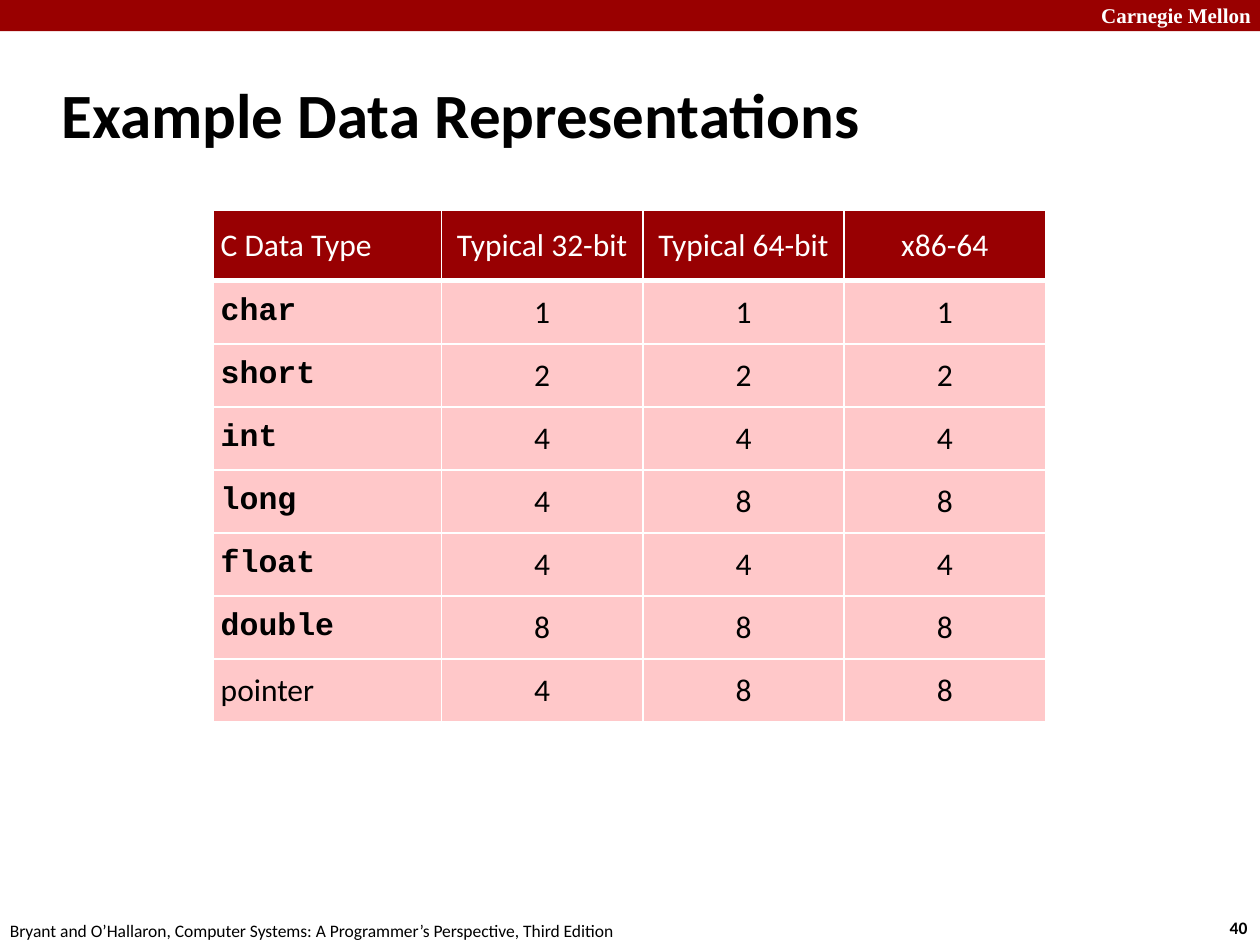
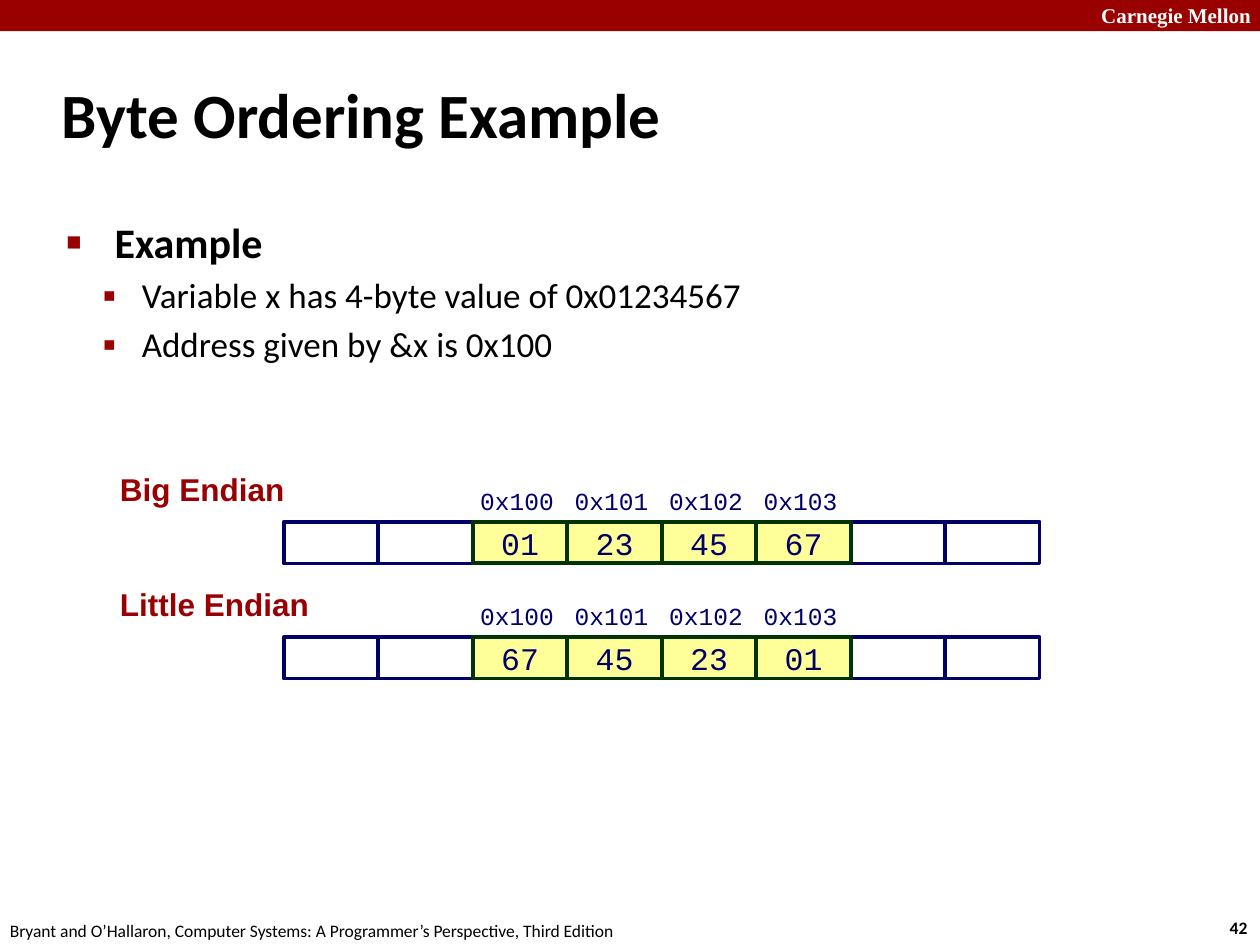
"""Build two slides on data sizes and byte ordering."""
from lxml import etree
from pptx import Presentation
from pptx.dml.color import RGBColor
from pptx.enum.shapes import MSO_SHAPE
from pptx.enum.text import MSO_ANCHOR, MSO_AUTO_SIZE, PP_ALIGN
from pptx.oxml.ns import qn
from pptx.util import Cm, Pt

RECT = MSO_SHAPE.RECTANGLE
TOP, MIDDLE = MSO_ANCHOR.TOP, MSO_ANCHOR.MIDDLE
LEFT, CENTER = PP_ALIGN.LEFT, PP_ALIGN.CENTER
NO_FIT, GROW = MSO_AUTO_SIZE.NONE, MSO_AUTO_SIZE.SHAPE_TO_FIT_TEXT

WHITE = RGBColor(0xFF, 0xFF, 0xFF)
BLACK = RGBColor(0x00, 0x00, 0x00)
BAND_RED = RGBColor(0x99, 0x00, 0x00)
DARK_RED = RGBColor(0x98, 0x00, 0x02)
PINK = RGBColor(0xFF, 0xC8, 0xC9)
NAVY = RGBColor(0x00, 0x00, 0x66)
GREEN = RGBColor(0x00, 0x33, 0x00)
YELLOW = RGBColor(0xFF, 0xFF, 0x99)

SANS, MONO, SERIF, ARIAL = "Calibri", "Courier New", "Times New Roman", "Arial"
FOOTER = ("Bryant and O’Hallaron, Computer Systems: "
          "A Programmer’s Perspective, Third Edition")


def style(name, size, color=BLACK, bold=False):
    return {"name": name, "size": Pt(size), "bold": bold, "color": color}


TITLE = style(SANS, 36, bold=True)
BRAND = style(SERIF, 12, WHITE, True)
NUMBER = style(SANS, 10, bold=True)
SMALL = style(SANS, 10)
HEADER = style(SANS, 18, WHITE)
VALUE = style(SANS, 18)
CODE = style(MONO, 18, bold=True)
LABEL = style(ARIAL, 18, DARK_RED, True)
ADDRESS = style(MONO, 14, NAVY)
BYTE = style(MONO, 18, NAVY)
BULLETS = [
    {"mark": "■", "scale": 60, "margin": 0.97, "hang": 0.97,
     "font": style(SANS, 24, bold=True)},
    {"mark": "▪", "scale": 110, "margin": 1.52, "hang": 0.79,
     "font": style(SANS, 20)},
]

SIZES = [
    ("C Data Type", "Typical 32-bit", "Typical 64-bit", "x86-64"),
    ("char", 1, 1, 1),
    ("short", 2, 2, 2),
    ("int", 4, 4, 4),
    ("long", 4, 8, 8),
    ("float", 4, 4, 4),
    ("double", 8, 8, 8),
    ("pointer", 4, 8, 8),
]
ADDRESSES = ["0x100", "0x101", "0x102", "0x103"]
ORDERS = [("Big Endian", ["01", "23", "45", "67"]),
          ("Little Endian", ["67", "45", "23", "01"])]
MEMORY_X, MEMORY_Y, MEMORY_W, MEMORY_STEP = 5.72, 9.68, 15.24, 2.32
CELL_COUNT, CELL_H, FIRST_BYTE = 8, 0.84, 2
CELL_W = MEMORY_W / CELL_COUNT


class Deck:
    """Hold the presentation, its shared look and the current slide."""

    def __init__(self):
        self.prs = Presentation()
        self.prs.slide_width, self.prs.slide_height = Cm(25.4), Cm(19.05)
        self.s = None

    def slide(self, title, number):
        self.s = self.prs.slides.add_slide(self.prs.slide_layouts[5])
        self.rect(0, 0, 25.4, 0.63, BAND_RED)
        self.text("Carnegie Mellon", 21.95, -0.08, 3.63, 0.76, BRAND)
        self.text(str(number), 24.54, 18.36, 0.94, 0.69, NUMBER, wrap=False)
        self.text(FOOTER, -0.05, 18.42, 12.9, 0.69, SMALL, wrap=False)
        sp = self.s.shapes.title
        sp.left, sp.top, sp.width, sp.height = map(Cm, (0.99, 1.22, 21.08, 2.11))
        sp.text_frame.auto_size = NO_FIT
        sp.text_frame.vertical_anchor = MIDDLE
        self.run(sp.text_frame.paragraphs[0], title, TITLE)

    def run(self, p, text, fmt, align=LEFT):
        p.alignment = align
        r = p.add_run()
        r.text = text
        for key, value in fmt.items():
            if key == "color":
                r.font.color.rgb = value
            else:
                setattr(r.font, key, value)

    def inset(self, target, size):
        for side in ("left", "right", "top", "bottom"):
            setattr(target, f"margin_{side}", Cm(size))

    def rect(self, x, y, w, h, fill, line=None, width=2):
        sp = self.s.shapes.add_shape(RECT, Cm(x), Cm(y), Cm(w), Cm(h))
        sp.shadow.inherit = False
        sp.fill.solid()
        sp.fill.fore_color.rgb = fill
        if line is None:
            sp.line.fill.background()
        else:
            sp.line.color.rgb = line
            sp.line.width = Pt(width)
        return sp

    def text(self, text, x, y, w, h, fmt, wrap=True, inset=None,
             anchor=TOP, spacing=None):
        sp = self.s.shapes.add_textbox(Cm(x), Cm(y), Cm(w), Cm(h))
        tf = sp.text_frame
        tf.word_wrap = wrap
        tf.auto_size = NO_FIT if wrap else GROW
        tf.vertical_anchor = anchor
        if inset is not None:
            self.inset(tf, inset)
        p = tf.paragraphs[0]
        p.line_spacing = spacing
        self.run(p, text, fmt)

    def bullets(self, items, x, y, w, h):
        tf = self.s.shapes.add_textbox(Cm(x), Cm(y), Cm(w), Cm(h)).text_frame
        tf.word_wrap = True
        for i, (level, text) in enumerate(items):
            p = tf.add_paragraph() if i else tf.paragraphs[0]
            look = BULLETS[level]
            p.level = level
            pPr = p._p.get_or_add_pPr()
            pPr.set("marL", str(Cm(look["margin"])))
            pPr.set("indent", str(-Cm(look["hang"])))
            color = etree.SubElement(pPr, qn("a:buClr"))
            etree.SubElement(color, qn("a:srgbClr"), val=str(BAND_RED))
            etree.SubElement(pPr, qn("a:buSzPct"), val=str(look["scale"] * 1000))
            etree.SubElement(pPr, qn("a:buFont"), typeface=ARIAL)
            etree.SubElement(pPr, qn("a:buChar"), char=look["mark"])
            if i:
                p.space_before = Pt(4)
            self.run(p, text, look["font"])

    def borders(self, cell, **widths):
        tcPr = cell._tc.get_or_add_tcPr()
        for side in "LRTB":
            ln = etree.SubElement(tcPr, qn(f"a:ln{side}"),
                                  w=str(Pt(widths.get(side, 1))))
            fill = etree.SubElement(ln, qn("a:solidFill"))
            etree.SubElement(fill, qn("a:srgbClr"), val=str(WHITE))

    def table(self, rows, x, y, col_widths, row_heights):
        tbl = self.s.shapes.add_table(
            len(rows), len(col_widths), Cm(x), Cm(y),
            Cm(sum(col_widths)), Cm(sum(row_heights))).table
        tbl.first_row = tbl.horz_banding = False
        for col, width in zip(tbl.columns, col_widths):
            col.width = Cm(width)
        for i, (row, height) in enumerate(zip(rows, row_heights)):
            tbl.rows[i].height = Cm(height)
            for j, value in enumerate(row):
                cell = tbl.cell(i, j)
                self.borders(cell, T=3 if i == 1 else 1, B=1 if i else 3)
                cell.fill.solid()
                cell.fill.fore_color.rgb = PINK if i else DARK_RED
                cell.vertical_anchor = MIDDLE
                self.inset(cell, 0.15)
                is_code = j == 0 and value != "pointer"
                fmt = HEADER if i == 0 else CODE if is_code else VALUE
                self.run(cell.text_frame.paragraphs[0], str(value), fmt,
                         CENTER if j else LEFT)

    def memory(self, label, values, y):
        xs = [MEMORY_X + i * CELL_W for i in range(CELL_COUNT)]
        used = xs[FIRST_BYTE:FIRST_BYTE + len(values)]
        cell_y = y + CELL_H
        self.text(label, 2.34, y - 0.23, 4.98, 0.91, LABEL, inset=0.08,
                  spacing=0.95)
        for x in xs:
            if x not in used:
                self.rect(x, cell_y, CELL_W, CELL_H, WHITE, NAVY)
        for x, address, value in zip(used, ADDRESSES, values):
            self.text(address, x, y, CELL_W, CELL_H, ADDRESS, inset=0.15,
                      anchor=MIDDLE)
            sp = self.rect(x, cell_y, CELL_W, CELL_H, YELLOW, GREEN, 2.25)
            self.inset(sp.text_frame, 0)
            sp.text_frame.vertical_anchor = MIDDLE
            self.run(sp.text_frame.paragraphs[0], value, BYTE, CENTER)


def main():
    deck = Deck()

    deck.slide("Example Data Representations", 40)
    deck.table(SIZES, 4.3, 4.24, [4.6] + [4.06] * 3, [1.42] + [1.27] * 7)

    deck.slide("Byte Ordering Example", 42)
    deck.bullets([(0, "Example"),
                  (1, "Variable x has 4-byte value of 0x01234567"),
                  (1, "Address given by &x is 0x100")],
                 1.09, 4.24, 21.95, 13.36)
    for i, (label, values) in enumerate(ORDERS):
        deck.memory(label, values, MEMORY_Y + i * MEMORY_STEP)

    deck.prs.save("out.pptx")


if __name__ == "__main__":
    main()
